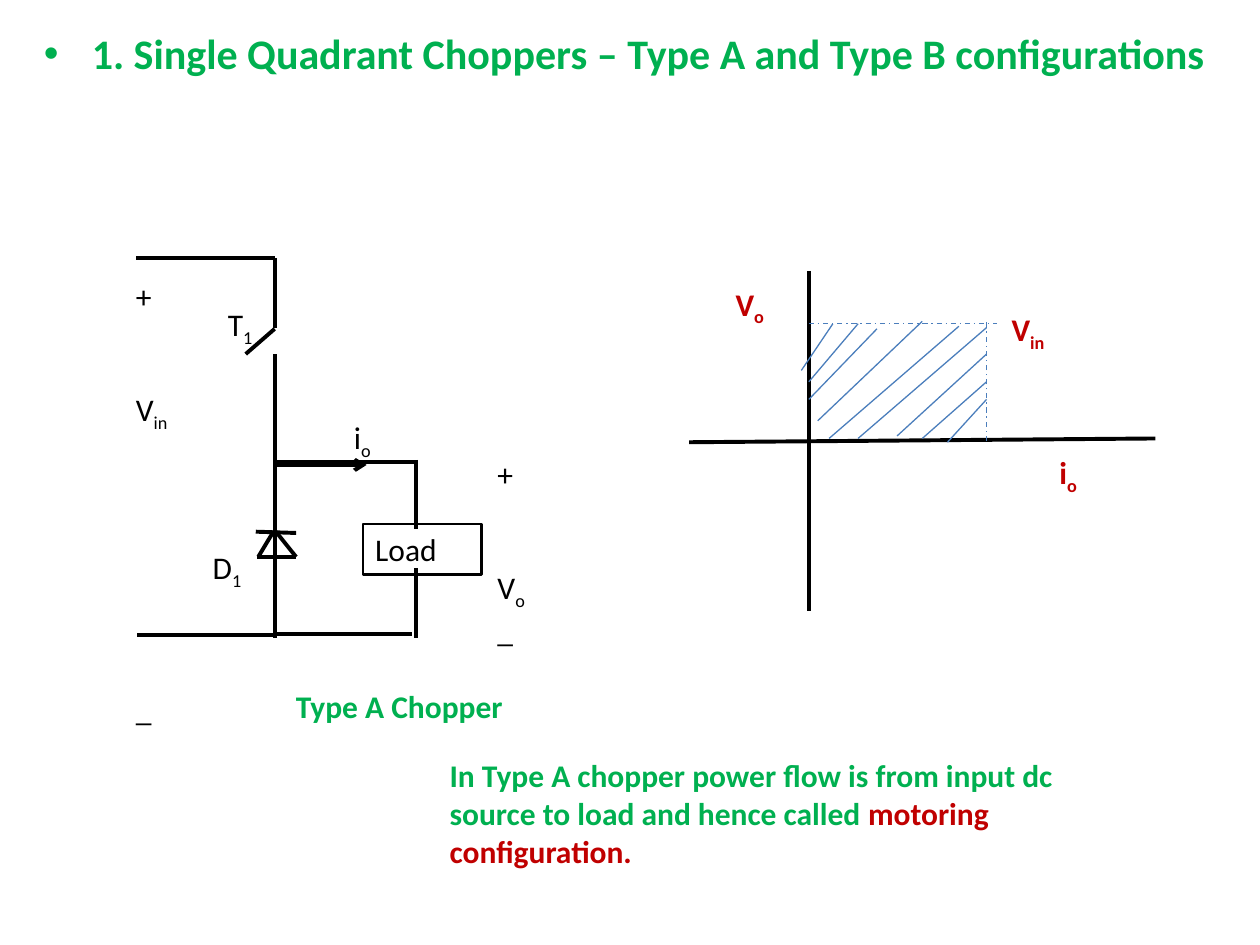
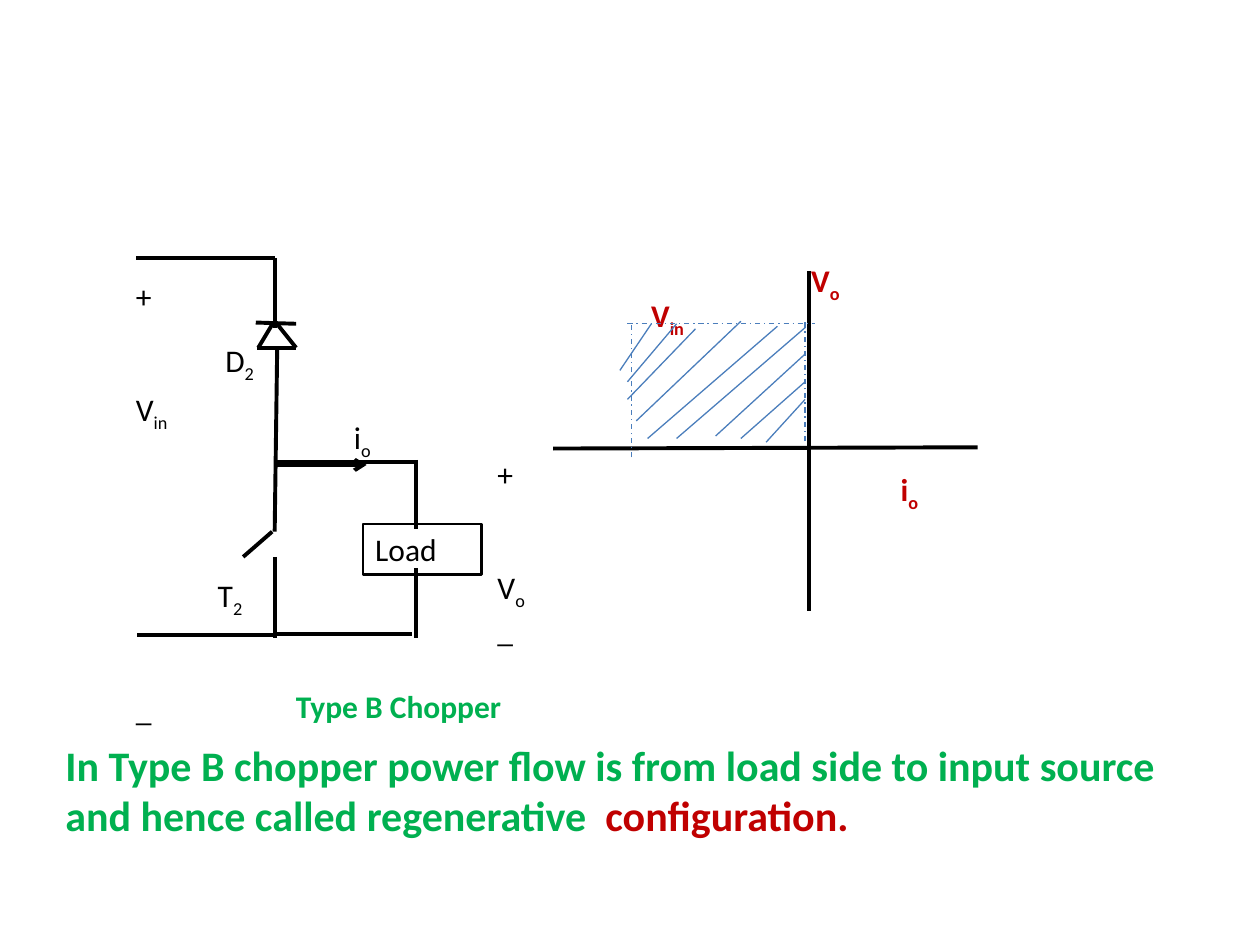
from pptx import Presentation, util as u
from pptx.dml.color import RGBColor
from pptx.enum import dml, shapes, text
from pptx.oxml.ns import qn
from lxml import etree

BLACK, GREEN, RED, BLUE = "000000", "00B050", "C00000", "4B7EBC"
DASH = dml.MSO_LINE.DASH_DOT
LABEL = (0.54, 0.4)

TITLE = "1. Single Quadrant Choppers – Type A and Type B configurations"
WIRES = [
    (2.17, 5.03, 3.27, 5.03), (2.18, 2.05, 2.18, 2.6), (1.08, 2.05, 2.18, 2.05),
    (1.09, 5.04, 2.2, 5.04), (2.2, 3.67, 3.3, 3.67), (3.3, 3.65, 3.3, 4.2),
    (3.3, 4.51, 3.3, 5.06),
]
DIODE = [
    (2.03, 4.22, 2.35, 4.23), (2.19, 4.22, 2.35, 4.42),
    (2.04, 4.42, 2.35, 4.42), (2.17, 4.22, 2.05, 4.42),
]
SWITCH = [(2.18, 2.61, 1.95, 2.81)]
HATCH = [
    (6.42, 3.03, 6.81, 2.57), (6.42, 3.17, 6.96, 2.61), (6.49, 3.34, 7.32, 2.55),
    (6.81, 3.48, 7.83, 2.6), (6.58, 3.48, 7.61, 2.59), (7.12, 3.46, 7.83, 2.81),
    (7.32, 3.48, 7.83, 3.03), (7.52, 3.51, 7.83, 3.17), (6.36, 2.94, 6.61, 2.57),
]
BORDER = [(6.42, 2.57, 7.91, 2.57), (7.83, 3.5, 7.83, 2.55)]
COLUMNS = [
    ((0.98, 2.15, 0.54, 2.83), [("+", "", 0), ("V", "in", 43), ("_", "", 147)]),
    ((3.85, 3.56, 0.54, 1.62), [("+", "", 0), ("V", "o", 43), ("_", "", 0)]),
]
CHOPPERS = [
    dict(
        name="Type A Chopper", title=TITLE,
        stem=[(2.18, 2.81, 2.18, 4.22), (2.18, 3.95, 2.18, 5.06)],
        diode=(0, 0), switch=(0, 0), hatch=0, edge=[],
        axis=(9.17, 3.48, 5.47, 3.51),
        parts=[("T", "1", 1.71, 2.37), ("D", "1", 1.59, 4.3)],
        marks=[("V", "o", 5.74, 2.21), ("i", "o", 8.31, 3.55), ("V", "in", 7.93, 2.41)],
        note=("In Type A chopper power flow is from input dc source to load "
              "and hence called ", "motoring configuration."),
        area=(3.47, 5.95, 5, 1.01), size=18,
    ),
    dict(
        name="Type B Chopper", title="",
        stem=[(2.2, 2.76, 2.18, 4.22), (2.18, 4.42, 2.18, 5.06)],
        diode=(0, -1.66), switch=(-0.02, 1.61), hatch=-1.44,
        edge=[(5.01, 3.63, 5.01, 2.56)],
        axis=(7.76, 3.55, 4.39, 3.56),
        parts=[("T", "2", 1.63, 4.52), ("D", "2", 1.69, 2.66)],
        marks=[("V", "o", 6.34, 2.02), ("i", "o", 7.05, 3.68), ("V", "in", 5.07, 2.3)],
        note=("In Type B chopper power flow is from load side to input source "
              "and hence called regenerative ", " configuration."),
        area=(0.42, 5.82, 8.99, 0.91), size=24,
    ),
]


def paint(code):
    return RGBColor.from_string(code)


def inches(box):
    return [u.Inches(v) for v in box]


def line(slide, ends, color=BLACK, width=2.25, dash=None, arrow=False, move=(0, 0)):
    x, y, x2, y2 = ends
    dx, dy = move
    wire = slide.shapes.add_connector(
        shapes.MSO_CONNECTOR.STRAIGHT, *inches((x + dx, y + dy, x2 + dx, y2 + dy)))
    wire.line.color.rgb = paint(color)
    wire.line.width = u.Pt(width)
    if dash:
        wire.line.dash_style = dash
    if arrow:
        etree.SubElement(wire.line._get_or_add_ln(), qn("a:tailEnd"), type="arrow")
    etree.SubElement(wire._element.spPr, qn("a:effectLst"))


def lines(slide, group, **style):
    for ends in group:
        line(slide, ends, **style)


def add_run(para, words, size, color, bold, sub=False):
    run = para.add_run()
    run.text = words
    font = run.font
    font.name, font.size, font.bold = "Calibri", u.Pt(size), bold
    font.color.rgb = paint(color)
    if sub:
        font._element.set("baseline", "-25000")


def write(frame, rows, size=18, color=BLACK, bold=False, accent=None, bullet=False):
    frame.word_wrap = True
    frame.vertical_anchor = text.MSO_ANCHOR.TOP
    for i, (main, tail, gap) in enumerate(rows):
        para = frame.add_paragraph() if i else frame.paragraphs[0]
        para.alignment = text.PP_ALIGN.LEFT
        para.space_before = u.Pt(gap)
        add_run(para, main, size, color, bold)
        if tail:
            add_run(para, tail, size, accent or color, bold, sub=not accent)
        if bullet:
            props = para._p.get_or_add_pPr()
            indent = u.Inches(0.38)
            props.set("marL", str(indent))
            props.set("indent", str(-indent))
            etree.SubElement(props, qn("a:buFont"), typeface="Arial")
            etree.SubElement(props, qn("a:buChar"), char="•")


def box(slide, area, rows, **style):
    write(slide.shapes.add_textbox(*inches(area)).text_frame, rows, **style)


def circuit(slide, item):
    lines(slide, WIRES + item["stem"])
    lines(slide, DIODE, move=item["diode"])
    lines(slide, SWITCH, move=item["switch"])
    line(slide, (2.2, 3.69, 2.91, 3.69), arrow=True)
    load = slide.shapes.add_shape(
        shapes.MSO_SHAPE.RECTANGLE, *inches((2.88, 4.16, 0.94, 0.4)))
    load.shadow.inherit = False
    load.fill.background()
    load.line.color.rgb = paint(BLACK)
    load.line.width = u.Pt(1.5)
    write(load.text_frame, [("Load", "", 0)])
    for area, rows in COLUMNS:
        box(slide, area, rows)
    for main, sub, x, y in item["parts"] + [("i", "o", 2.71, 3.27)]:
        box(slide, (x, y, *LABEL), [(main, sub, 0)])


def graph(slide, item):
    for main, sub, x, y in item["marks"]:
        box(slide, (x, y, *LABEL), [(main, sub, 0)], color=RED, bold=True)
    lines(slide, [(6.42, 2.15, 6.42, 4.85), item["axis"]])
    move = (item["hatch"], 0)
    lines(slide, BORDER, color=BLUE, width=0.75, dash=DASH, move=move)
    lines(slide, HATCH, color=BLUE, width=0.75, move=move)
    lines(slide, item["edge"], color=BLUE, width=0.75, dash=DASH)


def main():
    deck = Presentation()
    deck.slide_width, deck.slide_height = inches((10, 7.5))
    for item in CHOPPERS:
        slide = deck.slides.add_slide(deck.slide_layouts[6])
        if item["title"]:
            box(slide, (0.25, 0.17, 9.58, 7.08), [(item["title"], "", 0)],
                size=24, color=GREEN, bold=True, bullet=True)
        circuit(slide, item)
        graph(slide, item)
        box(slide, (2.25, 5.4, 2.6, 0.4), [(item["name"], "", 0)],
            color=GREEN, bold=True)
        box(slide, item["area"], [(*item["note"], 0)],
            size=item["size"], color=GREEN, bold=True, accent=RED)
    deck.save("out.pptx")


if __name__ == "__main__":
    main()
